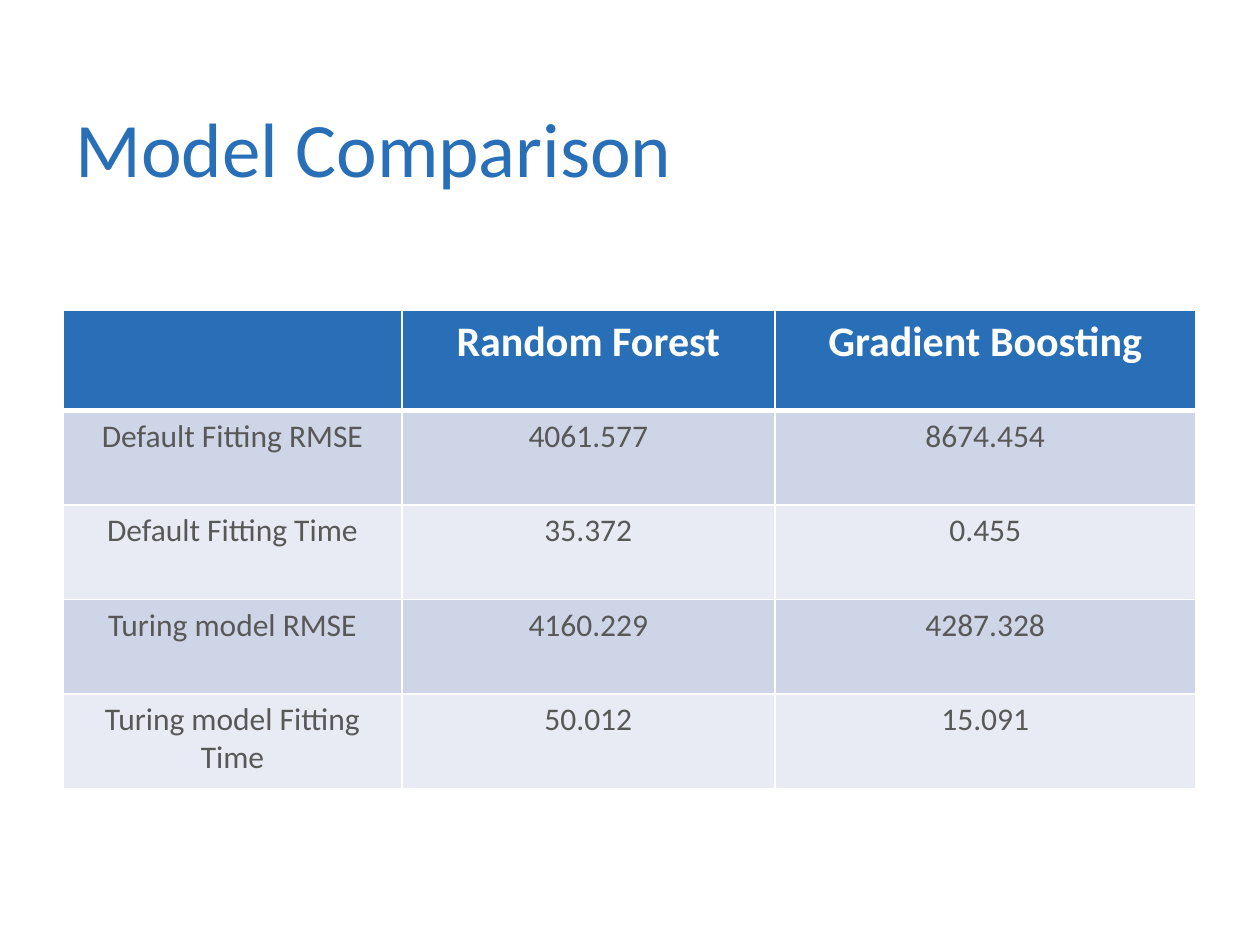
from dataclasses import dataclass

import lxml.etree
import pptx
import pptx.dml.color
import pptx.enum.text
import pptx.oxml.ns
import pptx.util

Inches = pptx.util.Inches


@dataclass(frozen=True)
class Theme:
    font: str = "Calibri"
    blue: str = "286FB7"
    white: str = "FFFFFF"
    gray: str = "585858"
    bands: tuple = ("CDD5E6", "E8EBF3")
    title_size: int = 44
    header_size: int = 24
    body_size: int = 18
    thin_border: int = 1
    thick_border: int = 3


class SlideBuilder:
    def __init__(self, presentation, theme):
        self.theme = theme
        self.slide = presentation.slides.add_slide(presentation.slide_layouts[6])

    def format_runs(self, paragraph, size, color, bold=False):
        for run in paragraph.runs:
            run.font.name = self.theme.font
            run.font.size = pptx.util.Pt(size)
            run.font.bold = bold
            run.font.color.rgb = pptx.dml.color.RGBColor.from_string(color)

    def add_title(self, text, left, top, width, height):
        shape = self.slide.shapes.add_textbox(
            Inches(left), Inches(top), Inches(width), Inches(height))
        text_frame = shape.text_frame
        text_frame.word_wrap = True
        text_frame.vertical_anchor = pptx.enum.text.MSO_ANCHOR.MIDDLE
        text_frame.margin_top = text_frame.margin_bottom = Inches(0.1)
        text_frame.text = text
        paragraph = text_frame.paragraphs[0]
        paragraph.line_spacing = 0.9
        self.format_runs(paragraph, self.theme.title_size, self.theme.blue)

    def add_border(self, cell, side, width):
        qn = pptx.oxml.ns.qn
        properties = cell._tc.get_or_add_tcPr()
        line = lxml.etree.SubElement(
            properties, qn(f"a:ln{side}"), w=str(pptx.util.Pt(width)))
        fill = lxml.etree.SubElement(line, qn("a:solidFill"))
        lxml.etree.SubElement(fill, qn("a:srgbClr"), val=self.theme.white)

    def style_cell(self, cell, row_index):
        theme = self.theme
        is_header = row_index == 0
        thick_side = {0: "B", 1: "T"}.get(row_index)
        for side in "LRTB":
            width = theme.thick_border if side == thick_side else theme.thin_border
            self.add_border(cell, side, width)
        cell.fill.solid()
        color = theme.blue if is_header else theme.bands[(row_index - 1) % 2]
        cell.fill.fore_color.rgb = pptx.dml.color.RGBColor.from_string(color)
        paragraph = cell.text_frame.paragraphs[0]
        paragraph.alignment = pptx.enum.text.PP_ALIGN.CENTER
        if is_header:
            self.format_runs(paragraph, theme.header_size, theme.white, True)
        else:
            self.format_runs(paragraph, theme.body_size, theme.gray)

    def add_table(self, rows, left, top, column_widths, row_heights):
        table = self.slide.shapes.add_table(
            len(rows), len(column_widths), Inches(left), Inches(top),
            Inches(sum(column_widths)), Inches(sum(row_heights))).table
        for column, width in zip(table.columns, column_widths):
            column.width = Inches(width)
        for row, height in zip(table.rows, row_heights):
            row.height = Inches(height)
        for row_index, values in enumerate(rows):
            for column_index, value in enumerate(values):
                cell = table.cell(row_index, column_index)
                cell.text_frame.text = value
                self.style_cell(cell, row_index)


def main():
    presentation = pptx.Presentation()
    presentation.slide_width = Inches(10)
    presentation.slide_height = Inches(7.5)
    builder = SlideBuilder(presentation, Theme())
    builder.add_title("Model Comparison", 0.5, 0.67, 9, 1.08)
    comparison = [
        ("", "Random Forest", "Gradient Boosting"),
        ("Default Fitting RMSE", "4061.577", "8674.454"),
        ("Default Fitting Time", "35.372", "0.455"),
        ("Turing model RMSE", "4160.229", "4287.328"),
        ("Turing model Fitting Time", "50.012", "15.091"),
    ]
    builder.add_table(comparison, 0.5, 2.46, [2.69, 2.96, 3.34], [0.8] + [0.75] * 4)
    presentation.save("out.pptx")


if __name__ == "__main__":
    main()
